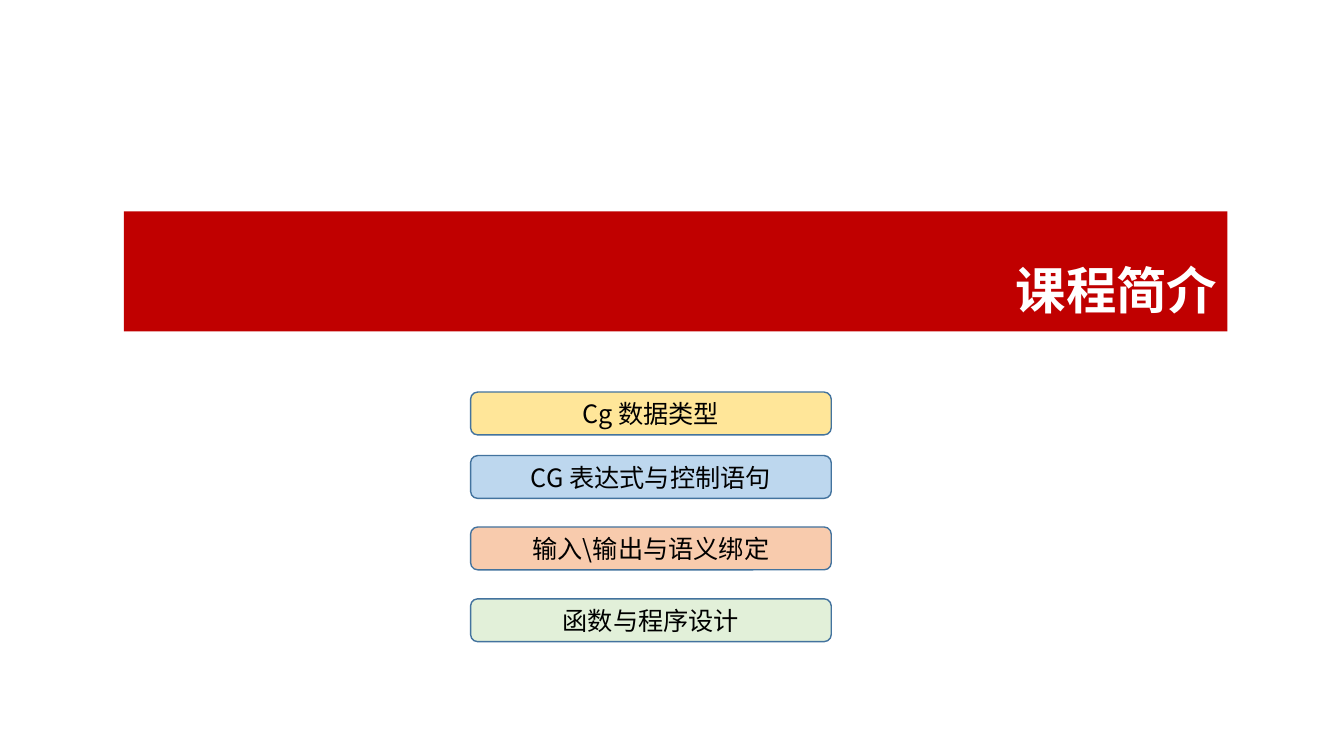
from lxml import etree
from pptx import Presentation
from pptx.dml.color import RGBColor
from pptx.enum.shapes import MSO_SHAPE
from pptx.enum.text import MSO_ANCHOR, PP_ALIGN
from pptx.oxml.ns import qn
from pptx.util import Cm, Pt

RECTANGLE, ROUNDED = MSO_SHAPE.RECTANGLE, MSO_SHAPE.ROUNDED_RECTANGLE
MIDDLE, BOTTOM = MSO_ANCHOR.MIDDLE, MSO_ANCHOR.BOTTOM
CENTER, RIGHT = PP_ALIGN.CENTER, PP_ALIGN.RIGHT
FONT = "Noto Sans CJK SC"


def color(value):
    return RGBColor.from_string(value)


def write_text(shape, text, anchor, alignment, font_color, font_format):
    frame = shape.text_frame
    frame.word_wrap = True
    frame.vertical_anchor = anchor
    paragraph = frame.paragraphs[0]
    paragraph.alignment = alignment
    run = paragraph.add_run()
    run.text = text
    for name, value in font_format.items():
        setattr(run.font, name, value)
    run.font.color.rgb = color(font_color)
    properties = run._r.get_or_add_rPr()
    etree.SubElement(properties, qn("a:ea")).set("typeface", FONT)
    return paragraph


presentation = Presentation()
presentation.slide_width, presentation.slide_height = Cm(33.87), Cm(19.05)
slide = presentation.slides.add_slide(presentation.slide_layouts[5])

banner = slide.shapes.add_shape(RECTANGLE, Cm(3.12), Cm(5.33), Cm(27.81), Cm(3.02))
banner.shadow.inherit = False
banner.fill.solid()
banner.fill.fore_color.rgb = color("C00000")
banner.line.fill.background()

title = slide.shapes.title
title_place = {"left": Cm(3.12), "top": Cm(4.52), "width": Cm(27.81), "height": Cm(3.68)}
for name, value in title_place.items():
    setattr(title, name, value)
title_format = {"name": FONT, "size": Pt(36), "bold": True}
title_paragraph = write_text(title, "课程简介", BOTTOM, RIGHT, "FFFFFF", title_format)
title_paragraph.line_spacing = 0.9
title._element.addprevious(banner._element)

topics = [
    ("Cg 数据类型", 9.88, "FFE699"),
    ("CG 表达式与控制语句", 11.48, "BDD7EE"),
    ("输入\\输出与语义绑定", 13.28, "F8CBAD"),
    ("函数与程序设计", 15.09, "E2F0D9"),
]
topic_format = {"name": FONT, "size": Pt(18)}
for text, top, fill_color in topics:
    topic = slide.shapes.add_shape(ROUNDED, Cm(11.86), Cm(top), Cm(9.09), Cm(1.08))
    topic.shadow.inherit = False
    topic.fill.solid()
    topic.fill.fore_color.rgb = color(fill_color)
    topic.line.color.rgb = color("43739E")
    topic.line.width = Pt(1)
    write_text(topic, text, MIDDLE, CENTER, "000000", topic_format)

presentation.save("out.pptx")
